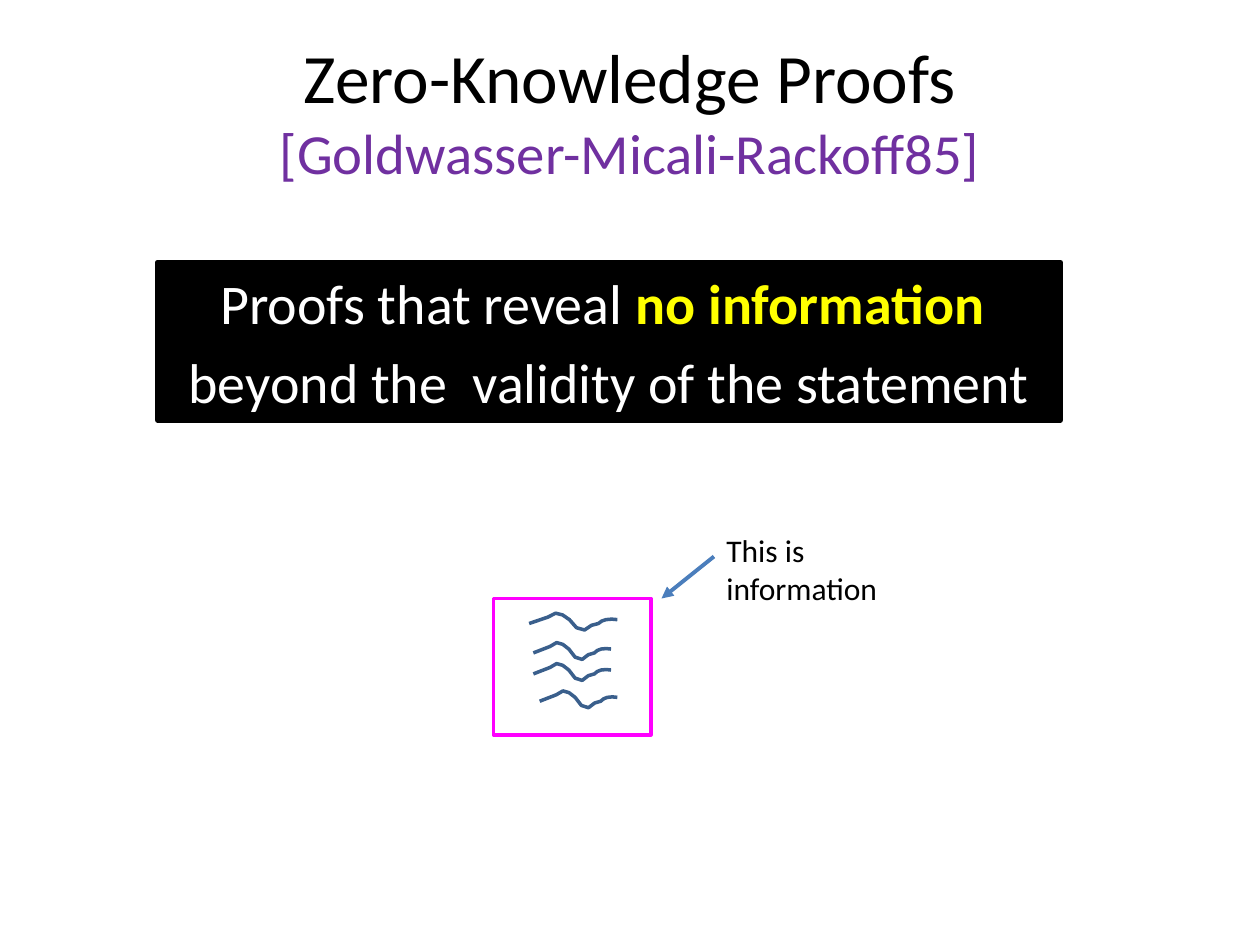
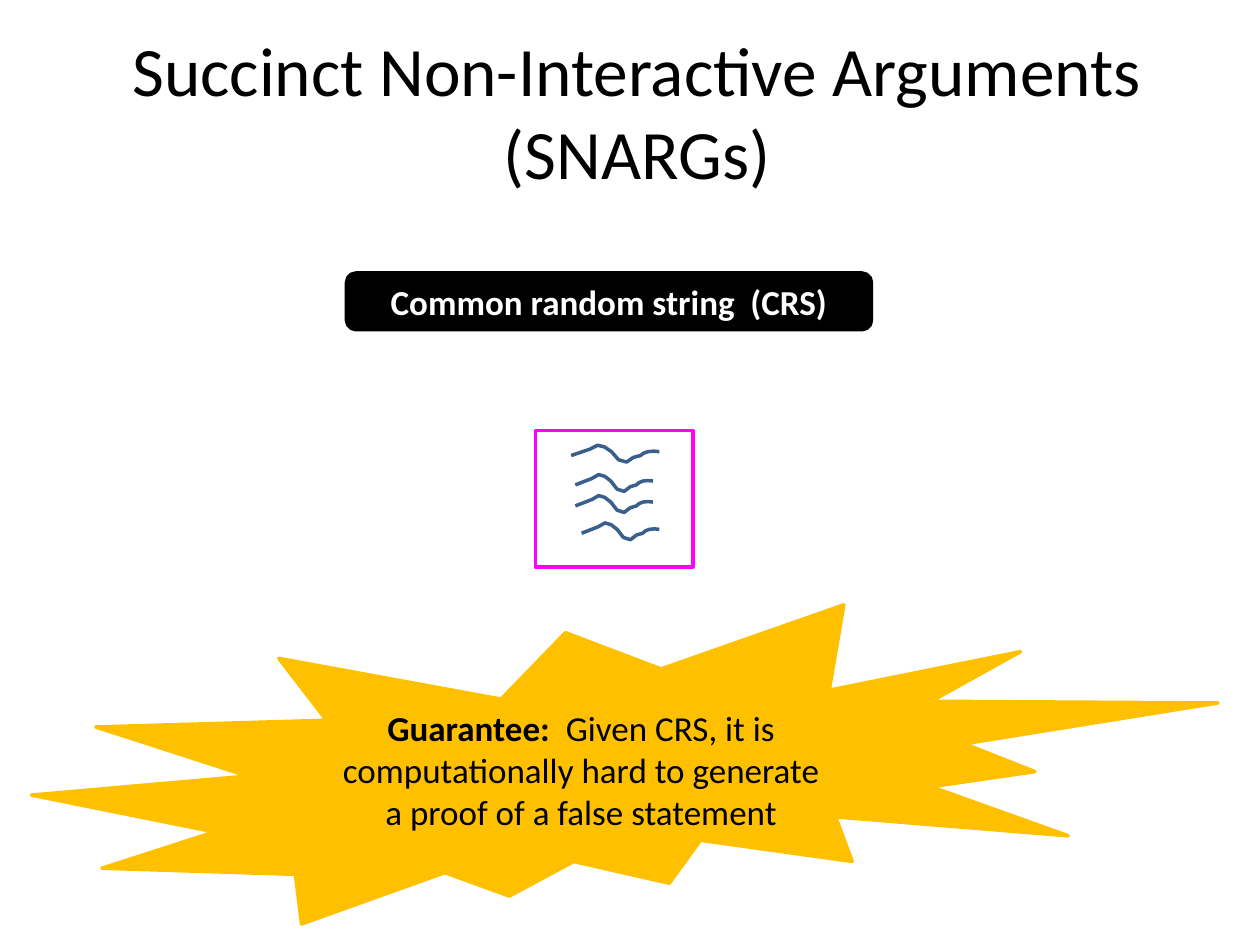
from dataclasses import dataclass

from lxml import etree
from pptx import Presentation
from pptx import util as u
from pptx.dml.color import RGBColor
from pptx.enum import shapes, text
from pptx.oxml import ns

FONT = "Calibri"
TITLE_SIZE = 39.6
COLOURS = {
    "black": "000000",
    "white": "FFFFFF",
    "purple": "7030A0",
    "yellow": "FFFF00",
    "magenta": "FF00FF",
    "ink": "3A5F8C",
    "arrow": "4B7EBC",
    "gold": "FFC000",
}
Point = tuple[float, float]


@dataclass(frozen=True)
class Box:
    left: float
    top: float
    width: float
    height: float

    def emu(self) -> tuple[int, int, int, int]:
        return tuple(u.Pt(v) for v in (self.left, self.top, self.width, self.height))


@dataclass(frozen=True)
class Span:
    words: str
    size: float
    colour: str = "black"
    bold: bool = False
    ends_line: bool = False


@dataclass(frozen=True)
class Squiggle:
    left: float
    top: float
    width: float


WAVE_WIDTH = 70
WAVE_HEIGHT = 13
WAVE_DEPTH = 9.6
WAVE_START = (0, 8)
WAVE_CURVES = [
    ((3, 7), (6, 6), (9, 5)),
    ((11, 4), (13, 4), (15, 3)),
    ((17, 2), (19, 1), (21, 0)),
    ((25, 1), (28, 1), (32, 5)),
    ((42, 14), (33, 10), (44, 13)),
    ((60, 3), (39, 15), (55, 8)),
    ((57, 7), (58, 5), (61, 5)),
    ((64, 4), (67, 5), (70, 5)),
]
SQUIGGLES = [
    Squiggle(20.4, 8.4, 50.4),
    Squiggle(22.8, 25.2, 44.4),
    Squiggle(22.8, 37.2, 44.4),
    Squiggle(26.4, 52.8, 44.4),
]


def rgb(name: str) -> RGBColor:
    return RGBColor.from_string(COLOURS[name])


def write(frame, paragraphs: list[list[Span]], *, align=text.PP_ALIGN.CENTER,
          anchor=text.MSO_ANCHOR.MIDDLE, before: float = 0) -> None:
    frame.word_wrap = True
    frame.vertical_anchor = anchor
    for index, spans in enumerate(paragraphs):
        para = frame.paragraphs[0] if index == 0 else frame.add_paragraph()
        para.alignment = align
        para.space_before = u.Pt(before)
        for span in spans:
            run = para.add_run()
            run.text = span.words
            run.font.name = FONT
            run.font.size = u.Pt(span.size)
            run.font.bold = span.bold
            run.font.color.rgb = rgb(span.colour)
            if span.ends_line:
                para.add_line_break()


def add_text(page, box: Box, paragraphs: list[list[Span]], **layout) -> None:
    write(page.shapes.add_textbox(*box.emu()).text_frame, paragraphs, **layout)


def paint(shape, *, fill: str | None, line: str, weight: float) -> None:
    shape.shadow.inherit = False
    if fill:
        shape.fill.solid()
        shape.fill.fore_color.rgb = rgb(fill)
    else:
        shape.fill.background()
    shape.line.color.rgb = rgb(line)
    shape.line.width = u.Pt(weight)


def add_panel(page, kind, box: Box, colour: str, weight: float,
              paragraphs: list[list[Span]], **layout) -> None:
    panel = page.shapes.add_shape(kind, *box.emu())
    paint(panel, fill=colour, line=colour, weight=weight)
    write(panel.text_frame, paragraphs, **layout)


def midpoint(start: Point, first: Point, second: Point, end: Point) -> Point:
    return tuple((a + 3 * b + 3 * c + d) / 8
                 for a, b, c, d in zip(start, first, second, end))


def wave_points() -> list[Point]:
    points = [WAVE_START]
    for first, second, end in WAVE_CURVES:
        points += [midpoint(points[-1], first, second, end), end]
    return points


def add_proof(page, left: float, top: float) -> None:
    group = page.shapes.add_group_shape()
    sheet = group.shapes.add_shape(shapes.MSO_SHAPE.RECTANGLE,
                                   *Box(left, top, 90, 78).emu())
    paint(sheet, fill=None, line="magenta", weight=2)
    for item in SQUIGGLES:
        points = [(u.Pt(left + item.left + x * item.width / WAVE_WIDTH),
                   u.Pt(top + item.top + y * WAVE_DEPTH / WAVE_HEIGHT))
                  for x, y in wave_points()]
        builder = group.shapes.build_freeform(*points[0])
        builder.add_line_segments(points[1:], close=False)
        paint(builder.convert_to_shape(), fill=None, line="ink", weight=2)


def add_arrow(page, start: Point, end: Point) -> None:
    arrow = page.shapes.add_connector(shapes.MSO_CONNECTOR.STRAIGHT,
                                      *(u.Pt(v) for v in start + end))
    arrow.line.color.rgb = rgb("arrow")
    arrow.line.width = u.Pt(2.25)
    etree.SubElement(arrow.line._get_or_add_ln(), ns.qn("a:tailEnd"), type="triangle")
    etree.SubElement(arrow._element.spPr, ns.qn("a:effectLst"))


def add_title(page, left: float, width: float, first: str, second: Span) -> None:
    add_text(page, Box(left, 18, width, 90),
             [[Span(first, TITLE_SIZE, ends_line=True), second]])


def build_zero_knowledge(page) -> None:
    add_title(page, 36, 648, "Zero-Knowledge Proofs",
              Span("[Goldwasser-Micali-Rackoff85]", 32.4, "purple"))
    add_panel(page, shapes.MSO_SHAPE.RECTANGLE, Box(90, 150, 516, 90), "black", 3,
              [[Span("Proofs that reveal ", 32, "white"),
                Span("no information ", 32, "yellow", bold=True)],
               [Span("beyond the  validity of the statement", 32, "white")]],
              anchor=text.MSO_ANCHOR.TOP, before=6.4)
    add_proof(page, 282, 342)
    add_arrow(page, (408, 318), (378, 342))
    add_text(page, Box(408, 300, 102, 51), [[Span("This is information", 18)]],
             align=text.PP_ALIGN.LEFT, anchor=text.MSO_ANCHOR.TOP)


def build_snargs(page) -> None:
    add_proof(page, 306, 246)
    add_panel(page, shapes.MSO_SHAPE.ROUNDED_RECTANGLE, Box(198, 156, 300, 32.4),
              "black", 2,
              [[Span("Common random string  (CRS)", 20, "white", bold=True)]])
    add_title(page, 42, 644, "Succinct Non-Interactive Arguments",
              Span("(SNARGs)", TITLE_SIZE))
    add_panel(page, shapes.MSO_SHAPE.EXPLOSION2, Box(18, 345.6, 678, 182.4),
              "gold", 2,
              [[Span("Guarantee:", 20, bold=True),
                Span("  Given CRS, it is computationally hard to generate "
                     "a proof of a false statement", 20)]])


def main() -> None:
    deck = Presentation()
    deck.slide_width, deck.slide_height = u.Pt(720), u.Pt(540)
    for build in (build_zero_knowledge, build_snargs):
        build(deck.slides.add_slide(deck.slide_layouts[6]))
    deck.save("out.pptx")


main()
